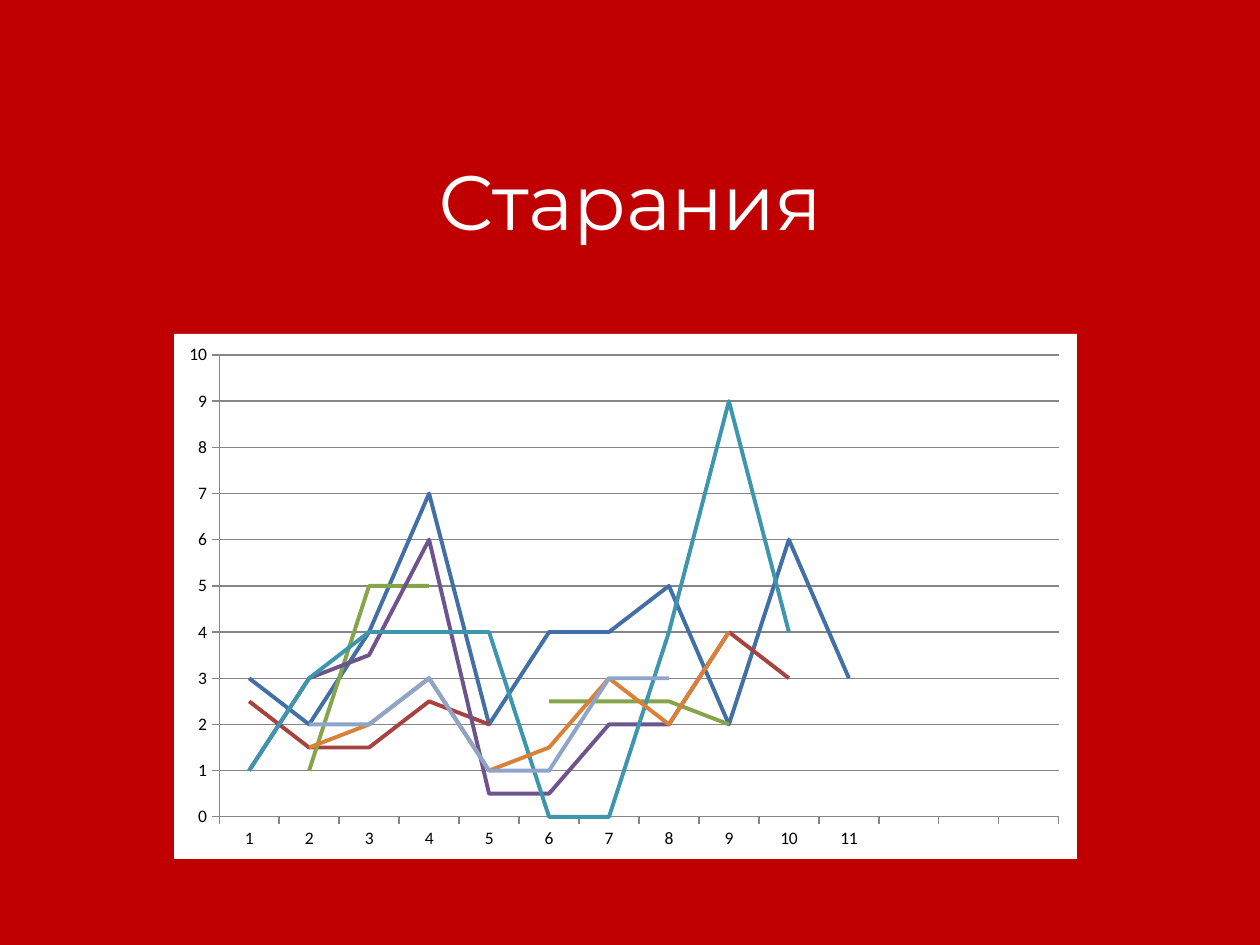
from dataclasses import dataclass
from typing import Optional

from lxml.etree import _Element
from pptx import Presentation
from pptx.chart.chart import Chart
from pptx.chart.data import CategoryChartData
from pptx.dml.color import RGBColor
from pptx.enum.chart import XL_CHART_TYPE, XL_MARKER_STYLE, XL_TICK_MARK
from pptx.enum.text import MSO_ANCHOR, PP_ALIGN
from pptx.oxml import parse_xml
from pptx.oxml.ns import nsdecls, qn
from pptx.util import Pt

EMU_PER_PX = 914400 / 126
SLIDE_WIDTH, SLIDE_HEIGHT = 1260, 945
TITLE_BOX = (95, 86, 1071, 228)
CHART_BOX = (174, 334, 903, 525)
PLOT_LAYOUT = {"x": 0.05, "y": 0.04, "w": 0.93, "h": 0.88}
RED, WHITE, BLACK, GRAY = "C00000", "FFFFFF", "000000", "868686"
CATEGORIES = [str(number) for number in range(1, 12)] + [""] * 3


@dataclass(frozen=True)
class LineSeries:
    color: str
    values: tuple[Optional[float], ...]


SERIES = (
    LineSeries("416FA6", (3, 2, 4, 7, 2, 4, 4, 5, 2, 6, 3)),
    LineSeries("A8423F", (2.5, 1.5, 1.5, 2.5, 2, None, 5, None, 4, 3)),
    LineSeries("86A44A", (None, 1, 5, 5, None, 2.5, 2.5, 2.5, 2)),
    LineSeries("6E548D", (1, 3, 3.5, 6, 0.5, 0.5, 2, 2, 4)),
    LineSeries("3D96AE", (1, 3, 4, 4, 4, 0, 0, 4, 9, 4)),
    LineSeries("DA8137", (None, 1.5, 2, 3, 1, 1.5, 3, 2, 4)),
    LineSeries("8EA5CB", (None, 2, 2, 3, 1, 1, 3, 3)),
)


def px(length: int) -> int:
    return round(length * EMU_PER_PX)


def rgb(color: str) -> RGBColor:
    return RGBColor.from_string(color)


def write_text(shape, text: str, *, font: str, size: int, color: str) -> None:
    frame = shape.text_frame
    frame.word_wrap = True
    frame.vertical_anchor = MSO_ANCHOR.MIDDLE
    paragraph = frame.paragraphs[0]
    paragraph.alignment = PP_ALIGN.CENTER
    run = paragraph.add_run()
    run.text = text
    run.font.name = font
    run.font.size = Pt(size)
    run.font.color.rgb = rgb(color)


def style_line(line, color: str, width: float) -> None:
    line.color.rgb = rgb(color)
    line.width = Pt(width)


def set_chart_background(chart_space: _Element, color: str) -> None:
    chart_space.find(qn("c:chart")).addnext(parse_xml(
        f'<c:spPr {nsdecls("c", "a")}><a:solidFill><a:srgbClr val="{color}"/>'
        "</a:solidFill><a:ln><a:noFill/></a:ln></c:spPr>"))


def set_plot_layout(chart_space: _Element) -> None:
    """Fix the inner plot area as fractions of the chart."""
    plot_area = chart_space.find(qn("c:chart")).find(qn("c:plotArea"))
    layout = plot_area.find(qn("c:layout"))
    if layout is not None:
        plot_area.remove(layout)
    modes = "".join(f'<c:{side}Mode val="edge"/>' for side in "xy")
    sizes = "".join(f'<c:{key} val="{value}"/>' for key, value in PLOT_LAYOUT.items())
    plot_area.insert(0, parse_xml(
        f'<c:layout {nsdecls("c")}><c:manualLayout><c:layoutTarget val="inner"/>'
        f"{modes}{sizes}</c:manualLayout></c:layout>"))


def style_axes(chart: Chart) -> None:
    for axis in (chart.category_axis, chart.value_axis):
        axis.major_tick_mark = XL_TICK_MARK.OUTSIDE
        axis.minor_tick_mark = XL_TICK_MARK.NONE
        style_line(axis.format.line, GRAY, 0.75)
    value_axis = chart.value_axis
    value_axis.minimum_scale, value_axis.maximum_scale = 0, 10
    value_axis.major_unit = 1
    value_axis.has_major_gridlines = True
    style_line(value_axis.major_gridlines.format.line, GRAY, 0.75)


def add_line_chart(slide) -> None:
    data = CategoryChartData()
    data.categories = CATEGORIES
    for number, item in enumerate(SERIES, 1):
        padding = (None,) * (len(CATEGORIES) - len(item.values))
        data.add_series(f"Series {number}", item.values + padding)
    chart = slide.shapes.add_chart(
        XL_CHART_TYPE.LINE, *map(px, CHART_BOX), data).chart
    chart.has_legend = False
    chart.has_title = False
    chart.font.name = "Calibri"
    chart.font.size = Pt(10)
    chart.font.color.rgb = rgb(BLACK)
    chart.plots[0].vary_by_categories = False
    for series, item in zip(chart.plots[0].series, SERIES):
        series.smooth = False
        series.marker.style = XL_MARKER_STYLE.NONE
        style_line(series.format.line, item.color, 2.25)
    style_axes(chart)
    set_chart_background(chart.element, WHITE)
    set_plot_layout(chart.element)


def main() -> None:
    presentation = Presentation()
    presentation.slide_width = px(SLIDE_WIDTH)
    presentation.slide_height = px(SLIDE_HEIGHT)
    slide = presentation.slides.add_slide(presentation.slide_layouts[5])
    slide.background.fill.solid()
    slide.background.fill.fore_color.rgb = rgb(RED)

    title = slide.shapes.title
    title.left, title.top, title.width, title.height = map(px, TITLE_BOX)
    write_text(title, "Старания", font="Montserrat", size=44, color=WHITE)
    add_line_chart(slide)
    presentation.save("out.pptx")


if __name__ == "__main__":
    main()
